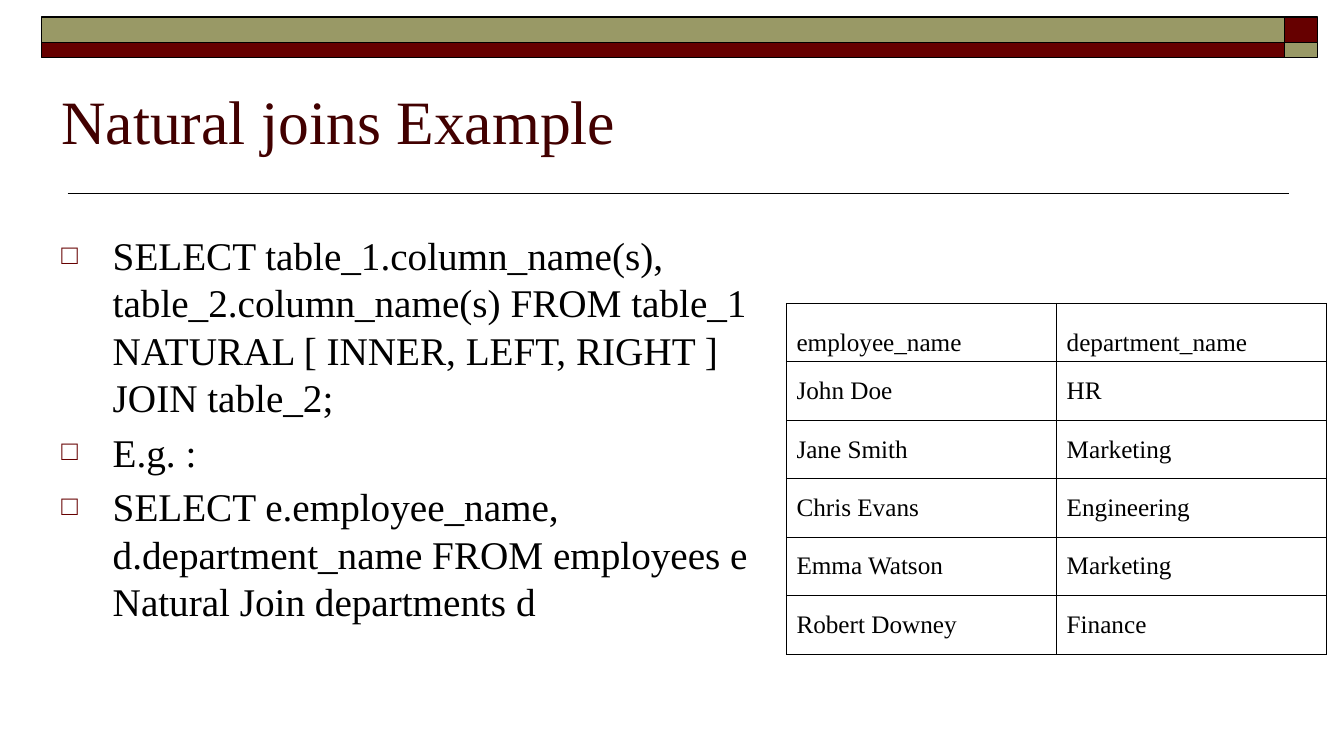
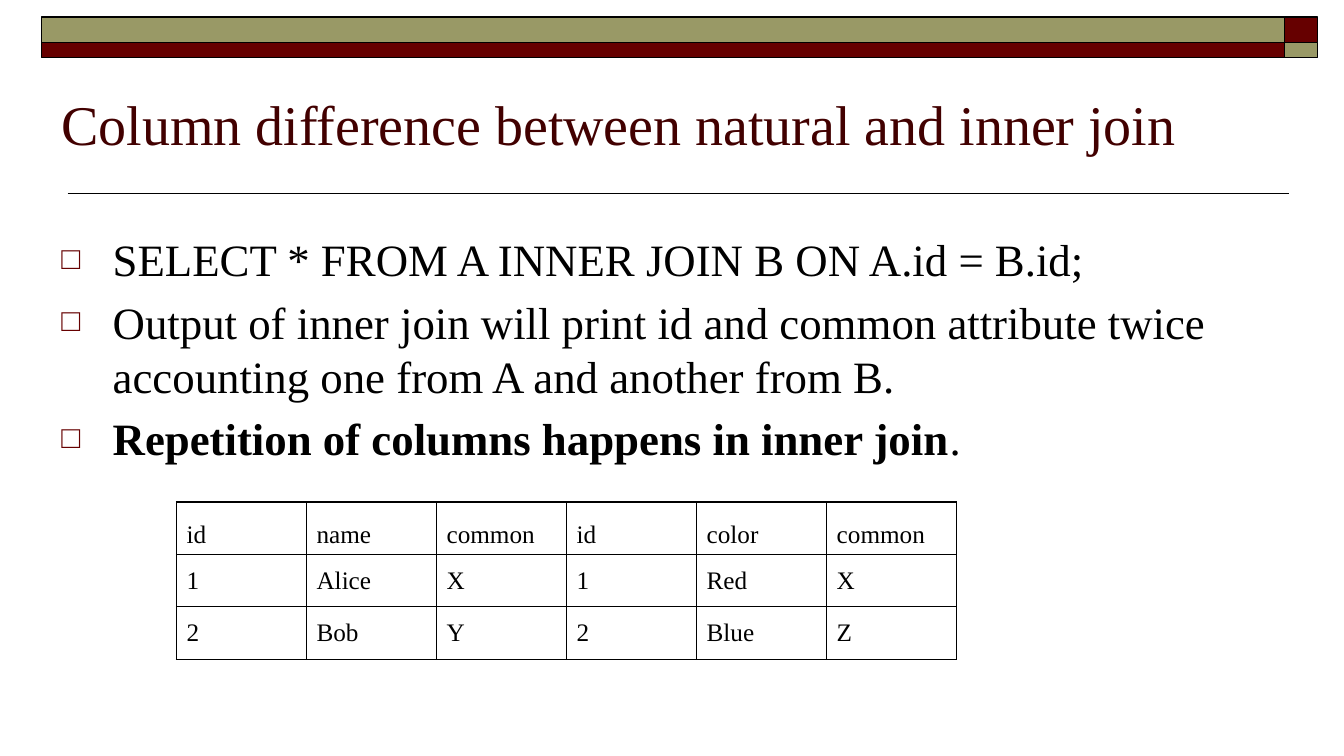
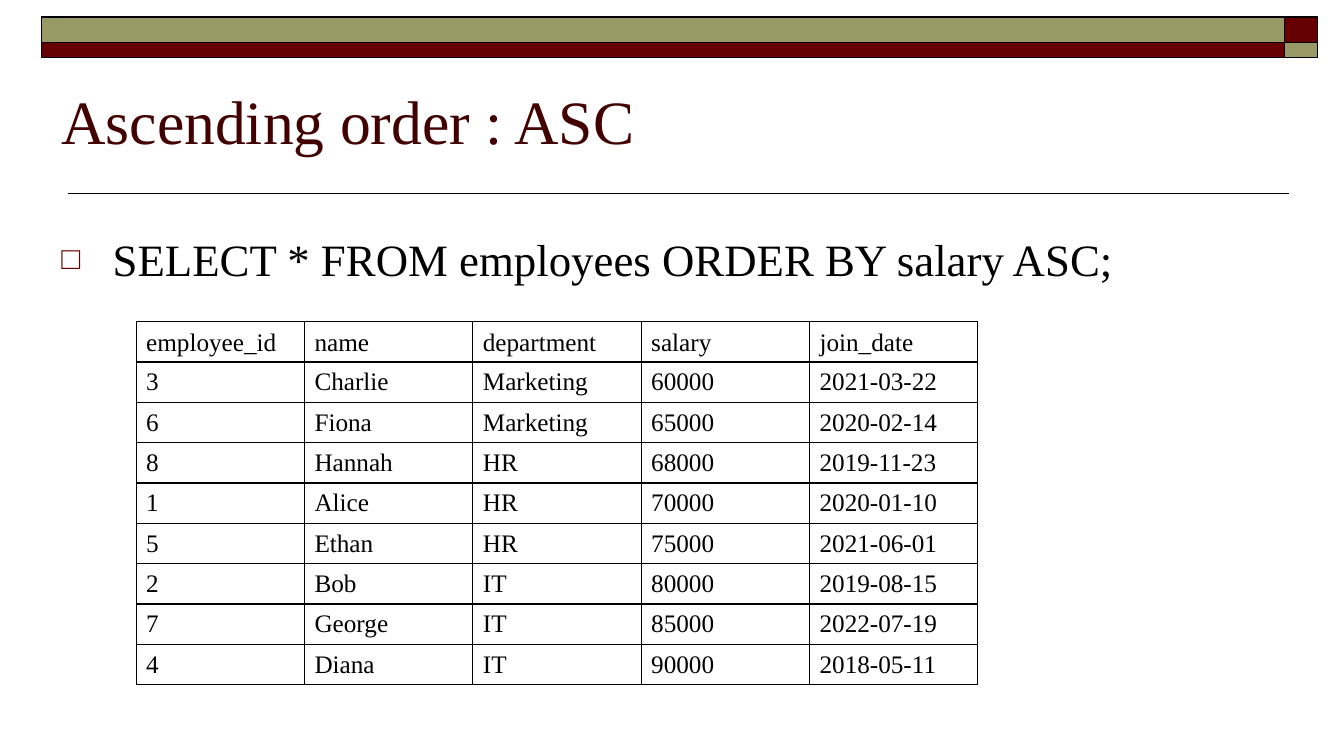
from lxml import etree
from pptx import Presentation
from pptx.dml.color import RGBColor
from pptx.enum.shapes import MSO_CONNECTOR, MSO_SHAPE
from pptx.enum.text import MSO_ANCHOR, PP_ALIGN
from pptx.oxml.ns import qn
from pptx.util import Pt

PX = 9144  # one hundredth of an inch
FONT = "Times New Roman"
BLACK = RGBColor(0x00, 0x00, 0x00)
MAROON = RGBColor(0x66, 0x00, 0x00)
OLIVE = RGBColor(0x99, 0x99, 0x66)
TITLE_COLOR = RGBColor(0x42, 0x00, 0x00)
RECTANGLE = MSO_SHAPE.RECTANGLE
STRAIGHT = MSO_CONNECTOR.STRAIGHT
TOP, MIDDLE, BOTTOM = MSO_ANCHOR.TOP, MSO_ANCHOR.MIDDLE, MSO_ANCHOR.BOTTOM
LEFT, JUSTIFY = PP_ALIGN.LEFT, PP_ALIGN.JUSTIFY

TEXT_LEFT, TEXT_WIDTH = 51, 1200
INDENT = 51


def px(*lengths):
    return [length * PX for length in lengths]


def add_bullet(paragraph):
    properties = paragraph._p.get_or_add_pPr()
    properties.set("marL", str(INDENT * PX))
    properties.set("indent", str(-INDENT * PX))
    color = etree.SubElement(properties, qn("a:buClr"))
    etree.SubElement(color, qn("a:srgbClr"), val=str(MAROON))
    etree.SubElement(properties, qn("a:buSzPct"), val="70000")
    etree.SubElement(properties, qn("a:buFont"), typeface=FONT)
    etree.SubElement(properties, qn("a:buChar"), char="□")


def write_text(paragraph, text, *, size, color=BLACK, bold=False,
               align=LEFT, bullet=False, space_before=0):
    """Write a string, or a list of (string, bold) pieces."""
    if bullet:
        add_bullet(paragraph)
    paragraph.alignment = align
    paragraph.space_before = Pt(space_before)
    pieces = [(text, bold)] if isinstance(text, str) else text
    for piece, piece_bold in pieces:
        run = paragraph.add_run()
        run.text = piece
        run.font.name = FONT
        run.font.size = Pt(size)
        run.font.bold = piece_bold
        run.font.color.rgb = color


def add_text_frame(slide, left, top, width, height, anchor=TOP):
    frame = slide.shapes.add_textbox(*px(left, top, width, height)).text_frame
    frame.word_wrap = True
    frame.vertical_anchor = anchor
    return frame


def add_band(slide, left, top, width, height, color):
    band = slide.shapes.add_shape(RECTANGLE, *px(left, top, width, height))
    band.shadow.inherit = False
    band.fill.solid()
    band.fill.fore_color.rgb = color
    band.line.color.rgb = BLACK
    band.line.width = Pt(1)


def add_rule(slide, left, right, top):
    rule = slide.shapes.add_connector(STRAIGHT, *px(left, top, right, top))
    rule.line.color.rgb = BLACK
    rule.line.width = Pt(1)
    etree.SubElement(rule._element.spPr, qn("a:effectLst"))


def add_titled_slide(presentation, title, size=44, align=LEFT):
    slide = presentation.slides.add_slide(presentation.slide_layouts[6])
    add_rule(slide, 67, 1278, 192)
    # Long bands on the left, with the colours swapped at the right end
    for left, width, colors in ((1274, 33, (MAROON, OLIVE)),
                                (41, 1233, (OLIVE, MAROON))):
        add_band(slide, left, 17, width, 25, colors[0])
        add_band(slide, left, 42, width, 15, colors[1])
    frame = add_text_frame(slide, TEXT_LEFT, 35, TEXT_WIDTH, 125, BOTTOM)
    write_text(frame.paragraphs[0], title, size=size, color=TITLE_COLOR,
               align=align)
    return slide


def add_bullets(slide, items, size=32, width=TEXT_WIDTH):
    frame = add_text_frame(slide, TEXT_LEFT, 225, width, 457)
    for index, item in enumerate(items):
        paragraph = frame.add_paragraph() if index else frame.paragraphs[0]
        write_text(paragraph, item, size=size, bullet=True,
                   space_before=size / 5 if index else 0)


def set_borders(cell):
    properties = cell._tc.get_or_add_tcPr()
    for index, side in enumerate(("lnL", "lnR", "lnT", "lnB")):
        line = etree.Element(qn(f"a:{side}"), w=str(Pt(1)))
        fill = etree.SubElement(line, qn("a:solidFill"))
        etree.SubElement(fill, qn("a:srgbClr"), val=str(BLACK))
        properties.insert(index, line)


def add_grid(slide, left, top, column_width, row_height, rows):
    column_count = len(rows[0])
    table = slide.shapes.add_table(
        len(rows), column_count,
        *px(left, top, column_width * column_count, row_height * len(rows))).table
    table.first_row = table.horz_banding = False
    for column in table.columns:
        column.width = column_width * PX
    for row_index, values in enumerate(rows):
        table.rows[row_index].height = row_height * PX
        for cell, value in zip(table.rows[row_index].cells, values):
            cell.fill.background()
            set_borders(cell)
            cell.vertical_anchor = MIDDLE if row_index else BOTTOM
            write_text(cell.text_frame.paragraphs[0], value, size=18)


def build_natural_join(presentation):
    slide = add_titled_slide(presentation, "Natural joins Example")
    add_bullets(slide, [
        "SELECT table_1.column_name(s), table_2.column_name(s) FROM table_1 "
        "NATURAL [ INNER, LEFT, RIGHT ] JOIN table_2;",
        "E.g. :",
        "SELECT e.employee_name, d.department_name FROM employees e "
        "Natural Join departments d",
    ], size=28, width=729)
    add_grid(slide, 780, 301, 268, 58, [
        ("employee_name", "department_name"),
        ("John Doe", "HR"),
        ("Jane Smith", "Marketing"),
        ("Chris Evans", "Engineering"),
        ("Emma Watson", "Marketing"),
        ("Robert Downey", "Finance"),
    ])


def build_column_difference(presentation):
    slide = add_titled_slide(
        presentation, "Column difference between natural and inner join",
        size=40, align=JUSTIFY)
    add_bullets(slide, [
        "SELECT * FROM A INNER JOIN B ON A.id = B.id;",
        "Output of inner join will print id and common attribute twice "
        "accounting one from A and another from B.",
        [("Repetition of columns happens in inner join", True), (".", False)],
    ])
    add_grid(slide, 175, 498, 129, 52, [
        ("id", "name", "common", "id", "color", "common"),
        ("1", "Alice", "X", "1", "Red", "X"),
        ("2", "Bob", "Y", "2", "Blue", "Z"),
    ])


def build_ascending_order(presentation):
    slide = add_titled_slide(presentation, "Ascending order : ASC")
    add_bullets(slide, ["SELECT * FROM employees ORDER BY salary ASC;"])
    add_grid(slide, 135, 319, 167, 37, [
        ("employee_id", "name", "department", "salary", "join_date"),
        ("3", "Charlie", "Marketing", "60000", "2021-03-22"),
        ("6", "Fiona", "Marketing", "65000", "2020-02-14"),
        ("8", "Hannah", "HR", "68000", "2019-11-23"),
        ("1", "Alice", "HR", "70000", "2020-01-10"),
        ("5", "Ethan", "HR", "75000", "2021-06-01"),
        ("2", "Bob", "IT", "80000", "2019-08-15"),
        ("7", "George", "IT", "85000", "2022-07-19"),
        ("4", "Diana", "IT", "90000", "2018-05-11"),
    ])


def main():
    presentation = Presentation()
    presentation.slide_width, presentation.slide_height = px(1333, 750)
    build_natural_join(presentation)
    build_column_difference(presentation)
    build_ascending_order(presentation)
    presentation.save("out.pptx")


if __name__ == "__main__":
    main()
